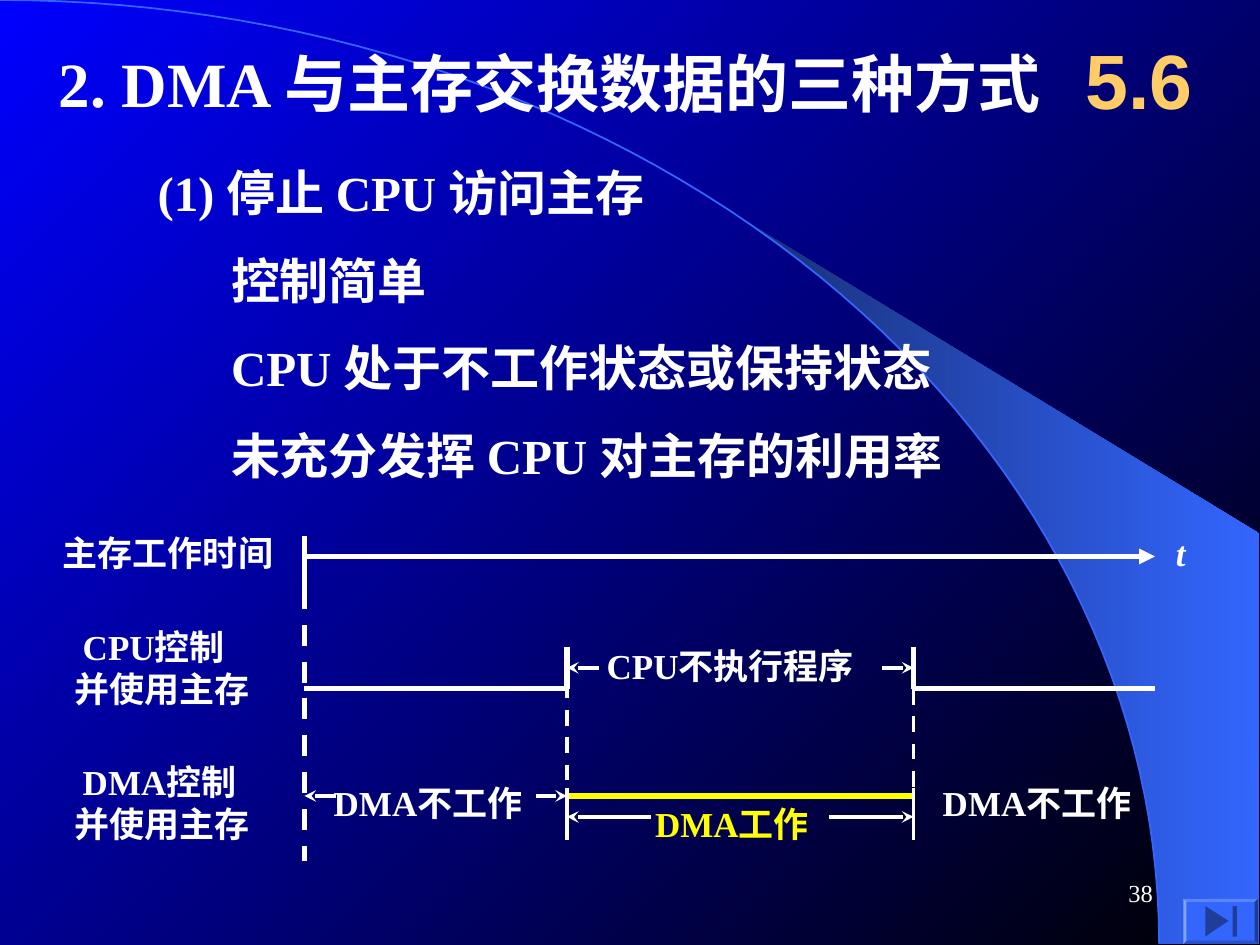
import math

import pptx
import pptx.dml.color
import pptx.enum.dml
import pptx.enum.shapes
import pptx.enum.text
import pptx.oxml.ns
import pptx.util
from lxml import etree

PX = 7620  # EMU in one px, 120 px to the inch
W, H = 1200, 900
SHAPE = pptx.enum.shapes.MSO_SHAPE
ALIGN = pptx.enum.text.PP_ALIGN
ANCHOR = pptx.enum.text.MSO_ANCHOR
AUTO = pptx.enum.text.MSO_AUTO_SIZE
qn = pptx.oxml.ns.qn

class Theme:
    white, blue, black = "FFFFFF", "0000FF", "000000"
    sweep, sweep_dark, icon = "3366FF", "182F76", "1F3D99"
    accent, active = "FFCC66", "FFFF00"
    serif, sans = "Times New Roman", "Arial"
    section, title, body, label, number = 44, 36, 28, 20, 14
    thick, thin = 3, 2.25

T = Theme()

def rgb(color):
    return pptx.dml.color.RGBColor.from_string(color)

def place(sp, x, y, w, h):
    sp.left, sp.top, sp.width, sp.height = x * PX, y * PX, w * PX, h * PX

def set_text(sp, text, size, color=T.white, font=T.serif, bold=True, italic=False,
             align=ALIGN.LEFT, anchor=ANCHOR.TOP, wrap=False, auto=AUTO.SHAPE_TO_FIT_TEXT):
    tf = sp.text_frame
    tf.text = text
    tf.word_wrap, tf.auto_size, tf.vertical_anchor = wrap, auto, anchor
    for p in tf.paragraphs:
        p.alignment = align
        for r in p.runs:
            r.font.name, r.font.size = font, pptx.util.Pt(size)
            r.font.bold, r.font.italic = bold, italic
            r.font.color.rgb = rgb(color)
    return tf

def add_text(s, x, y, w, h, text, size, **style):
    sp = s.shapes.add_textbox(x * PX, y * PX, w * PX, h * PX)
    return set_text(sp, text, size, **style)

def add_line(s, x1, y1, x2, y2, width=T.thick, color=T.white, dash=False, head=None):
    c = s.shapes.add_connector(pptx.enum.shapes.MSO_CONNECTOR.STRAIGHT,
                               x1 * PX, y1 * PX, x2 * PX, y2 * PX)
    c.line.width = pptx.util.Pt(width)
    c.line.color.rgb = rgb(color)
    if dash:
        c.line.dash_style = pptx.enum.dml.MSO_LINE.DASH
    if head:
        etree.SubElement(c._element.spPr.find(qn("a:ln")), qn("a:tailEnd"), type=head)
    etree.SubElement(c._element.spPr, qn("a:effectLst"))

def add_freeform(s, points, close):
    pts = [(x * PX, y * PX) for x, y in points]
    fb = s.shapes.build_freeform(*pts[0], scale=1.0)
    fb.add_line_segments(pts[1:], close=close)
    sp = fb.convert_to_shape()
    sp.shadow.inherit = False
    return sp

def paint(sp, color):
    sp.shadow.inherit = False
    sp.fill.solid()
    sp.fill.fore_color.rgb = rgb(color)
    sp.line.fill.background()

def set_gradient(fill, colors, angle):
    fill.gradient()
    fill.gradient_angle = angle
    for stop, color, pos in zip(fill.gradient_stops, colors, (0, 1)):
        stop.color.rgb = rgb(color)
        stop.position = pos

def arc(rx, ry, start=0, steps=60):
    """Quarter ellipse from the top left corner, beginning at x = start."""
    a0 = math.asin(start / rx)
    angles = [a0 + (math.pi / 2 - a0) * i / steps for i in range(steps + 1)]
    return [(rx * math.sin(a), ry * (1 - math.cos(a))) for a in angles]

def backdrop(s, w, h):
    set_gradient(s.background.fill, (T.blue, T.black), 315)
    rx, ry = w - 96, h - 1
    # Light beam that touches the arc
    beam = add_freeform(s, arc(rx, ry, 707) + [(w - 1, ry), (w - 1, 508)], True)
    set_gradient(beam.fill, (T.sweep_dark, T.sweep), 0)
    beam.line.fill.background()
    # Arc
    edge = add_freeform(s, arc(rx, ry), False)
    edge.fill.background()
    edge.line.color.rgb = rgb(T.sweep)
    edge.line.width = pptx.util.Pt(1)
    # Keep the placeholders in front
    for sp in list(s.placeholders):
        s.shapes._spTree.append(sp._element)

def heading(s, x, y, w, h):
    place(s.shapes.title, x, y + 16, 977, 84)
    set_text(s.shapes.title, "2. DMA 与主存交换数据的三种方式", T.title)
    # Section number
    add_text(s, x + w - 150, y, 150, h, "5.6", T.section, color=T.accent, font=T.sans,
             align=ALIGN.CENTER, anchor=ANCHOR.MIDDLE, wrap=True, auto=AUTO.NONE)

def points(s, x, y, w, h):
    body = s.placeholders[1]
    place(body, x, y, w, h)
    lines = ("(1) 停止 CPU 访问主存", "控制简单",
             "CPU 处于不工作状态或保持状态", "未充分发挥 CPU 对主存的利用率")
    tf = set_text(body, "\n".join(lines), T.body, wrap=True, auto=AUTO.NONE)
    for i, p in enumerate(tf.paragraphs):
        p.space_before = pptx.util.Pt(16.4 if i else 0)
        pPr = p._p.get_or_add_pPr()
        pPr.set("marL", str(70 * PX if i else 0))
        pPr.set("indent", "0")
        etree.SubElement(pPr, qn("a:buNone"))

def timing(s, x, y):
    def line(x1, y1, x2, y2, **style):
        add_line(s, x + x1, y + y1, x + x2, y + y2, **style)

    def label(lx, ly, w, text, h=53, **style):
        return add_text(s, x + lx, y + ly, w, h, text, T.label, **style)

    def arrow(x1, x2, ly):
        line(x1, ly, x2, ly, width=T.thin, head="stealth")

    start, stop, resume, end = 242, 492, 822, 1052
    # Time axis
    label(0, 0, 226, "主存工作时间")
    line(start, 10, start, 60)
    line(start, 30, end, 30, head="triangle")
    label(1060, 0, 32, "t", italic=True)
    line(start, 60, start, 320, dash=True)
    # Row names
    for name, ly in (("CPU", 90), ("DMA", 218)):
        tf = label(11, ly, 191, f"{name}控制\n并使用主存", h=92)
        tf.paragraphs[0]._p.get_or_add_pPr().set("indent", str(8 * PX))
    # CPU row
    line(start, 156, stop, 156)
    line(resume, 156, end, 156)
    label(518, 108, 268, "CPU不执行程序")
    arrow(stop + 30, stop, 136)
    arrow(resume - 30, resume, 136)
    # DMA row
    for lx in (258, 838):
        label(lx, 238, 220, "DMA不工作")
    arrow(start + 30, start, 258)
    arrow(stop - 30, stop, 258)
    line(stop, 258, resume, 258, color=T.active)
    label(564, 258, 184, "DMA工作", color=T.active)
    arrow(stop + 80, stop, 278)
    arrow(resume - 80, resume, 278)
    # Edges of the interval in which DMA works
    for edge, top in ((stop, 150), (resume, 130)):
        line(edge, 116, edge, 156)
        line(edge, top, edge, 260, width=T.thin, dash=True)
        line(edge, 250, edge, 300, width=T.thin)

def footer(s, x, y, w, h):
    add_text(s, x, y, 250, 60, "38", T.number, bold=False, align=ALIGN.RIGHT,
             anchor=ANCHOR.MIDDLE, wrap=True, auto=AUTO.NONE)
    # Bevelled button with an end symbol: triangle and bar
    bx, by = x + w - 71, y + h - 43
    button = s.shapes.add_shape(SHAPE.BEVEL, bx * PX, by * PX, 71 * PX, 43 * PX)
    button.adjustments[0] = 0.07
    paint(button, T.sweep)
    paint(add_freeform(s, [(bx + 21, by + 7), (bx + 43, by + 21), (bx + 21, by + 36)], True), T.icon)
    paint(s.shapes.add_shape(SHAPE.RECTANGLE, (bx + 47) * PX, (by + 7) * PX, 4 * PX, 29 * PX), T.icon)

def main():
    prs = pptx.Presentation()
    prs.slide_width, prs.slide_height = W * PX, H * PX
    s = prs.slides.add_slide(prs.slide_layouts[1])
    backdrop(s, W, H)
    heading(s, 44, 20, 1116, 110)
    points(s, 138, 149, 882, 318)
    timing(s, 48, 500)
    footer(s, 860, 820, 338, 79)
    prs.save("out.pptx")

if __name__ == "__main__":
    main()
